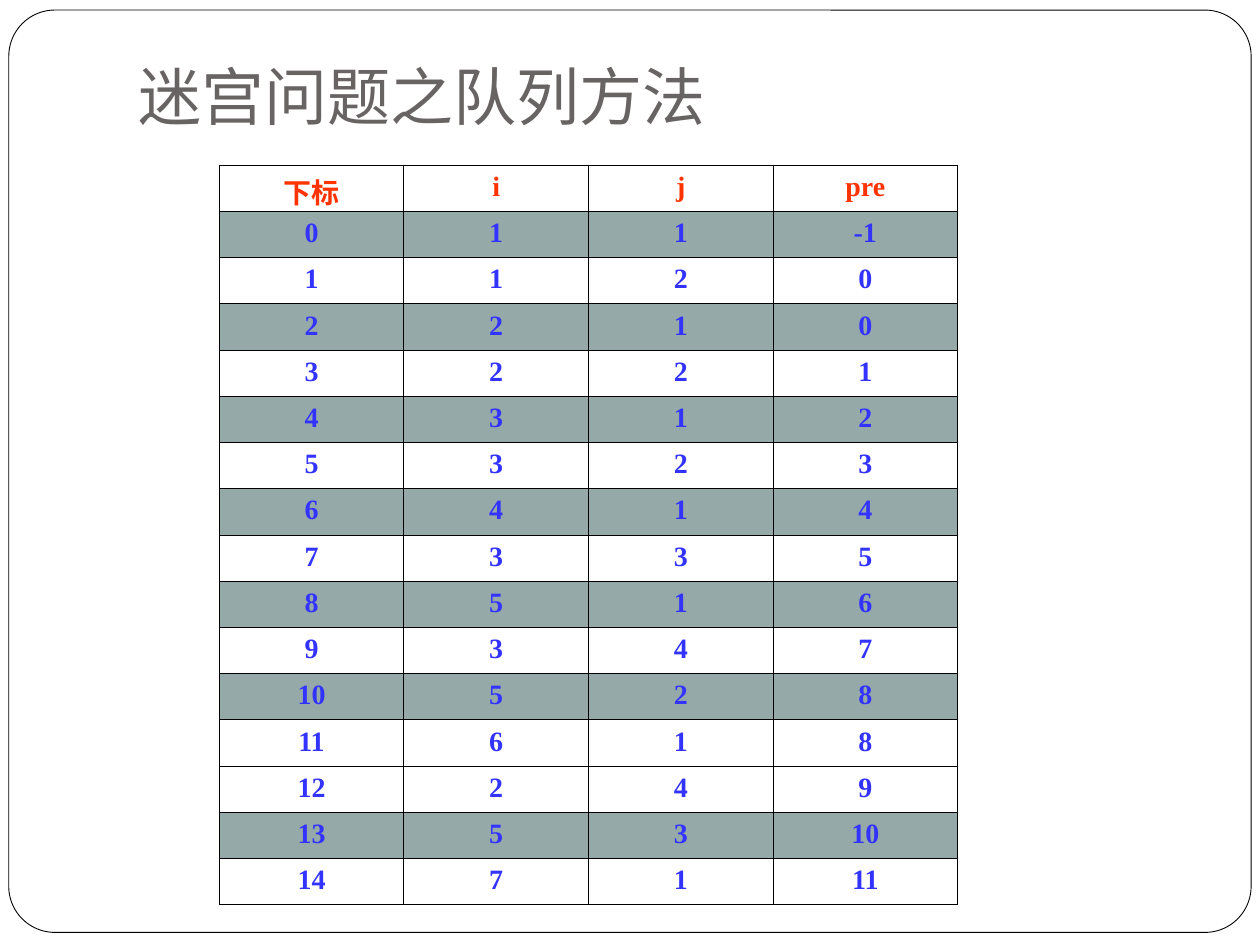
from pptx import Presentation
from pptx.dml.color import RGBColor
from pptx.enum.shapes import MSO_SHAPE
from pptx.enum.text import MSO_ANCHOR, PP_ALIGN
from pptx.oxml import parse_xml
from pptx.oxml.ns import nsdecls
from pptx.util import Inches, Pt

ROUNDED = MSO_SHAPE.ROUNDED_RECTANGLE
BOTTOM = MSO_ANCHOR.BOTTOM
LEFT, CENTER = PP_ALIGN.LEFT, PP_ALIGN.CENTER

WHITE, BLACK, GRAY = "FFFFFF", "000000", "696464"
RED, BLUE, BAND = "FF3300", "3333FF", "96A9A9"

HEADER = ("下标", "i", "j", "pre")
QUEUE = [
    (1, 1, -1), (1, 2, 0), (2, 1, 0), (2, 2, 1), (3, 1, 2),
    (3, 2, 3), (4, 1, 4), (3, 3, 5), (5, 1, 6), (3, 4, 7),
    (5, 2, 8), (6, 1, 8), (2, 4, 9), (5, 3, 10), (7, 1, 11),
]
SHADED = {0, 2, 4, 6, 8, 10, 13}


def rgb(color):
    """Return the colour for a hex string."""
    return RGBColor.from_string(color)


def write(tf, text, *, size, font, color, bold=False, align=LEFT):
    """Put formatted text in the first paragraph of a text frame."""
    p = tf.paragraphs[0]
    p.alignment = align
    r = p.add_run()
    r.text = text
    r.font.size = Pt(size)
    r.font.name = font
    r.font.bold = bold
    r.font.color.rgb = rgb(color)


def add_frame(s, left, top, width, height):
    """Draw the rounded frame around the slide."""
    sp = s.shapes.add_shape(ROUNDED, left, top, width, height)
    sp.adjustments[0] = 0.05
    sp.shadow.inherit = False
    sp.fill.solid()
    sp.fill.fore_color.rgb = rgb(WHITE)
    sp.line.color.rgb = rgb(BLACK)
    sp.line.width = Pt(0.5)


def add_title(s, text, left, top, width, height):
    """Place the title at the bottom of its box."""
    tf = s.shapes.add_textbox(left, top, width, height).text_frame
    tf.word_wrap = True
    tf.vertical_anchor = BOTTOM
    tf.margin_bottom = Inches(0.1)
    write(tf, text, size=36, font="Lato", color=GRAY)


def set_borders(cell, color, width):
    """Outline all four sides of a cell."""
    tc_pr = cell._tc.get_or_add_tcPr()
    for side in "LRTB":
        tc_pr.append(parse_xml(
            f'<a:ln{side} {nsdecls("a")} w="{width}"><a:solidFill>'
            f'<a:srgbClr val="{color}"/></a:solidFill></a:ln{side}>'))


def add_queue_table(s, left, top, width, height):
    """Place the queue table with evenly sized rows and columns."""
    rows = [HEADER] + [(n, *entry) for n, entry in enumerate(QUEUE)]
    table = s.shapes.add_table(
        len(rows), len(HEADER), left, top, width, height).table
    table.first_row = table.horz_banding = False
    for n, row in enumerate(rows):
        for cell, value in zip(table.rows[n].cells, row):
            write(cell.text_frame, str(value), size=16, font="Times New Roman",
                  color=BLUE if n else RED, bold=True, align=CENTER)
            set_borders(cell, BLACK, Pt(0.45))
            if n - 1 in SHADED:
                cell.fill.solid()
                cell.fill.fore_color.rgb = rgb(BAND)
            else:
                cell.fill.background()


def main():
    """Build the slide and save it."""
    prs = Presentation()
    prs.slide_width, prs.slide_height = Inches(10), Inches(7.5)
    s = prs.slides.add_slide(prs.slide_layouts[6])
    add_frame(s, Inches(0.07), Inches(0.08), Inches(9.86), Inches(7.32))
    add_title(s, "迷宫问题之队列方法",
              Inches(1), Inches(0.21), Inches(8.5), Inches(0.95))
    add_queue_table(s, Inches(1.74), Inches(1.31), Inches(5.86), Inches(5.87))
    prs.save("out.pptx")


if __name__ == "__main__":
    main()
